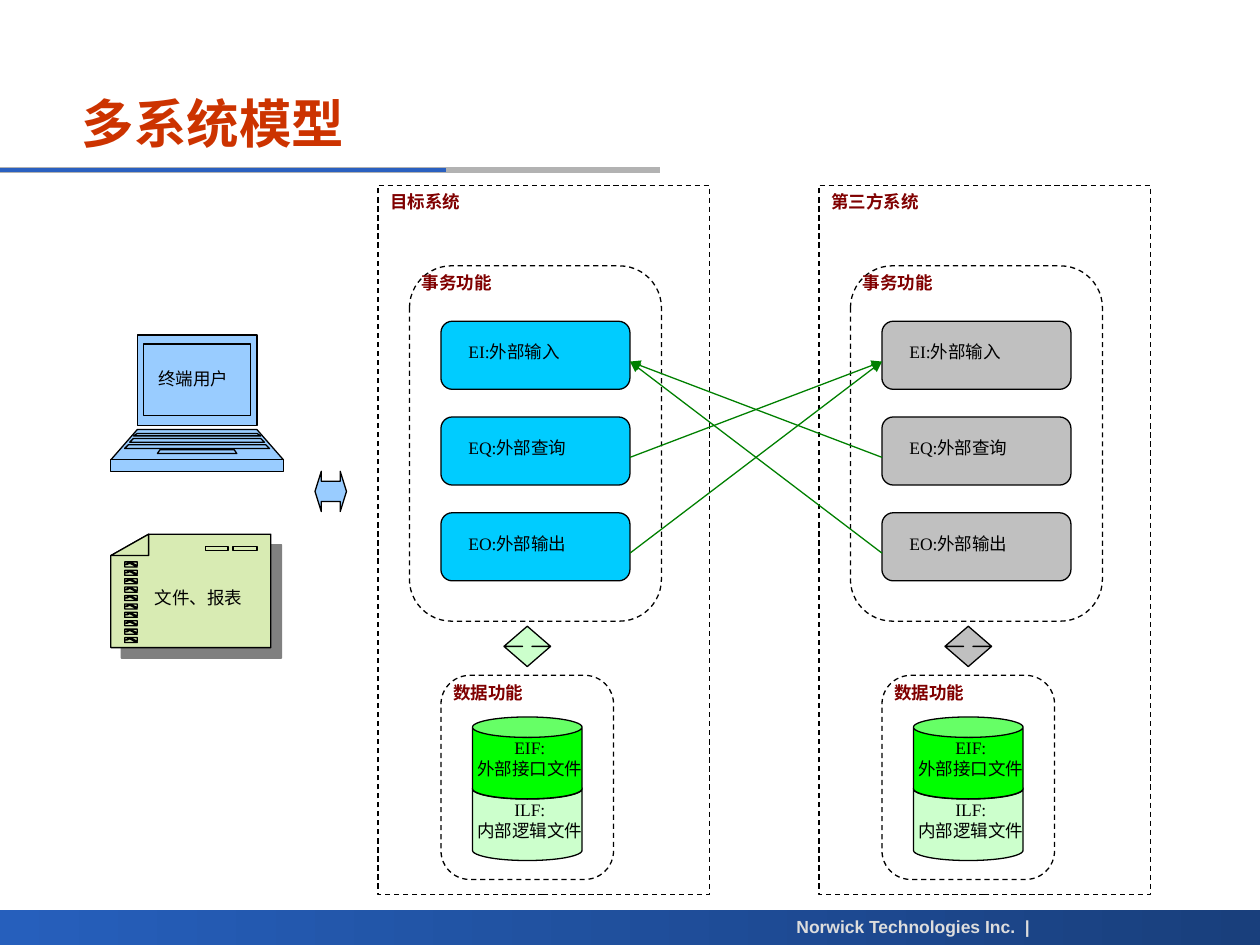
"""Build the multi-system model slide: end user, files and two linked systems."""
from lxml import etree
from pptx import Presentation
from pptx.dml.color import RGBColor
from pptx.enum.dml import MSO_LINE
from pptx.enum.shapes import MSO_CONNECTOR, MSO_SHAPE
from pptx.enum.text import MSO_ANCHOR, PP_ALIGN
from pptx.oxml import parse_xml
from pptx.oxml.ns import nsdecls, qn
from pptx.util import Inches, Pt

RECT, CAN = MSO_SHAPE.RECTANGLE, MSO_SHAPE.CAN
ROUNDED = MSO_SHAPE.FLOWCHART_ALTERNATE_PROCESS
UP_DOWN, LEFT_RIGHT = MSO_SHAPE.UP_DOWN_ARROW, MSO_SHAPE.LEFT_RIGHT_ARROW
JUSTIFY, CENTER, RIGHT = PP_ALIGN.JUSTIFY, PP_ALIGN.CENTER, PP_ALIGN.RIGHT
DASH, STRAIGHT = MSO_LINE.DASH, MSO_CONNECTOR.STRAIGHT
BLACK, MAROON, MINT = "000000", "800000", "CCFFCC"
rgb = RGBColor.from_string


def add_box(shapes, kind, at, fill=None, adj=()):
    """Add a black-edged shape, dashed when it has no fill."""
    s = shapes.add_shape(kind, *map(Inches, at))
    s.shadow.inherit = False
    s.line.color.rgb, s.line.width = rgb(BLACK), Pt(0.75)
    if fill:
        s.fill.solid()
        s.fill.fore_color.rgb = rgb(fill)
    else:
        s.fill.background()
        s.line.dash_style = DASH
    for i, value in enumerate(adj):
        s.adjustments[i] = value
    return s


def add_text(shapes, at, lines, align=JUSTIFY, color=BLACK, bold=False,
             name="Times New Roman", wrap=True):
    """Add a text box with one paragraph for each line."""
    tf = shapes.add_textbox(*map(Inches, at)).text_frame
    tf.word_wrap = wrap
    tf.text = "\n".join(lines)
    for p in tf.paragraphs:
        p.alignment = align
        for key, value in dict(size=Pt(10), name=name, bold=bold).items():
            setattr(p.font, key, value)
        p.font.color.rgb = rgb(color)


prs = Presentation()
prs.slide_width, prs.slide_height = Inches(10), Inches(7.5)
slide = prs.slides.add_slide(prs.slide_layouts[5])
shapes = slide.shapes

title = shapes.title
for key, value in dict(left=0.55, top=0.64, width=6.92, height=0.67).items():
    setattr(title, key, Inches(value))
tf = title.text_frame
tf.text = "多系统模型"
tf.vertical_anchor = MSO_ANCHOR.MIDDLE
p = tf.paragraphs[0]
p.alignment = PP_ALIGN.LEFT
for key, value in dict(size=Pt(30), name="Arial", bold=True).items():
    setattr(p.font, key, value)
p.font.color.rgb = rgb("CC3300")

footer = add_box(shapes, RECT, (0, 7.22, 10, 0.28), "265FBC")
footer.line.fill.background()
footer.fill.gradient()
footer.fill.gradient_angle = 0
for stop, color, position in zip(footer.fill.gradient_stops, ("265FBC", "193F7C"), (0, 1)):
    stop.color.rgb, stop.position = rgb(color), position
add_text(shapes, (6.15, 7.22, 2.12, 0.27), ["Norwick Technologies Inc.  |"],
         RIGHT, "DDDDDD", True, "Arial", False)

page = [
    [(1.18, 4.24), (0.88, 4.41), (0.88, 5.14), (2.15, 5.14), (2.15, 4.24)],
    [(0.88, 4.41), (1.18, 4.41), (1.18, 4.24)],
]
for left, right in ((1.63, 1.81), (1.85, 2.04)):
    page.append([(left, 4.37), (right, 4.37), (right, 4.34), (left, 4.34)])
for row in range(10):
    y = 5.06 - row * 0.6 / 9
    page.append([(0.99, y + 0.04), (1.09, y + 0.04), (1.03, y + 0.01), (1.01, y + 0.02),
                 (1, y + 0.02), (1.03, y), (1.09, y + 0.03), (1.09, y), (0.99, y)])

laptop = []
for top_left, top_right, top, left, right, bottom in (
        (1.09, 2.04, 2.66, 1.09, 2.04, 3.38), (1.09, 2.04, 3.41, 0.88, 2.25, 3.65),
        (0.88, 2.25, 3.65, 0.88, 2.25, 3.74), (1.14, 1.99, 2.73, 1.14, 1.99, 3.3),
        (1.09, 2.04, 3.44, 1.06, 2.07, 3.46), (1.27, 1.86, 3.57, 1.25, 1.88, 3.6),
        (1.06, 2.07, 3.48, 1.03, 2.1, 3.51), (1.02, 2.11, 3.53, 0.99, 2.14, 3.56)):
    laptop.append([(top_left, top), (left, bottom), (right, bottom), (top_right, top)])

for contours, fill, shadow in ((page, "D8EBB3", True), (laptop, "99CCFF", False)):
    builder = shapes.build_freeform(*map(Inches, contours[0][0]))
    for i, contour in enumerate(contours):
        points = [(Inches(x), Inches(y)) for x, y in contour]
        if i:
            builder.move_to(*points[0])
        builder.add_line_segments(points[1:], close=True)
    s = builder.convert_to_shape()
    s.shadow.inherit = False
    s.fill.solid()
    s.fill.fore_color.rgb = rgb(fill)
    s.line.color.rgb, s.line.width = rgb(BLACK), Pt(0.75)
    merged = s._element.find(".//" + qn("a:path"))
    path_list = merged.getparent()
    for segment in list(merged):
        if segment.tag == qn("a:moveTo"):
            part = etree.SubElement(path_list, merged.tag, dict(merged.attrib))
        part.append(segment)
    path_list.remove(merged)
    if shadow:
        s._element.spPr.find(qn("a:effectLst")).append(parse_xml(
            f'<a:outerShdw {nsdecls("a")} dist="107950" dir="2700000">'
            '<a:srgbClr val="808080"/></a:outerShdw>'))

add_text(shapes, (1.13, 4.61, 1.12, 0.32), ["文件、报表"])
add_text(shapes, (1.16, 2.87, 1.12, 0.32), ["终端用户"])
add_box(shapes, LEFT_RIGHT, (2.5, 3.74, 0.25, 0.32), "99CCFF", (0.5, 0.2))

for x, name, box_fill, arrow_fill in ((3, "目标系统", "00CCFF", MINT),
                                      (6.5, "第三方系统", "C0C0C0", "C0C0C0")):
    g = shapes.add_group_shape().shapes
    for kind, dx, y, w, h, label in ((RECT, 0, 1.47, 2.63, 5.63, name),
                                     (ROUNDED, 0.25, 2.11, 2, 2.82, "事务功能"),
                                     (ROUNDED, 0.5, 5.36, 1.37, 1.62, "数据功能")):
        add_box(g, kind, (x + dx, y, w, h))
        add_text(g, (x + dx, y, 1.4, 0.32), [label], color=MAROON, bold=True)
    for i, label in enumerate(("EI:外部输入", "EQ:外部查询", "EO:外部输出")):
        y = 2.55 + i * 0.76
        add_box(g, ROUNDED, (x + 0.5, y, 1.5, 0.54), box_fill)
        add_text(g, (x + 0.62, y + 0.11, 1.13, 0.32), [label])
    for y, fill, lines in ((6.18, MINT, ["ILF:", "内部逻辑文件"]),
                           (5.69, "00FF00", ["EIF:", "外部接口文件"])):
        add_box(g, CAN, (x + 0.75, y, 0.87, 0.65), fill, (0.25,))
        add_text(g, (x + 0.62, y + 0.11, 1.17, 0.54), lines, CENTER)
    add_box(g, UP_DOWN, (x + 1, 4.97, 0.37, 0.32), arrow_fill, (0.5, 0.2))

lines = [(0, 1.35, 5.24, 1.35, "B2B2B2", 3, False), (0, 1.35, 3.54, 1.35, "2A60C0", 2.25, False)]
for x1, x2 in ((7, 5), (5, 7)):
    for y in (3.63, 4.39):
        lines.append((x1, y, x2, 2.87, "008000", 0.75, True))
for x1, y1, x2, y2, color, width, arrow in lines:
    s = shapes.add_connector(STRAIGHT, *map(Inches, (x1, y1, x2, y2)))
    s.line.color.rgb, s.line.width = rgb(color), Pt(width)
    if arrow:
        etree.SubElement(s.line._get_or_add_ln(), qn("a:tailEnd"), type="triangle")
    etree.SubElement(s._element.spPr, qn("a:effectLst"))

prs.save("out.pptx")
